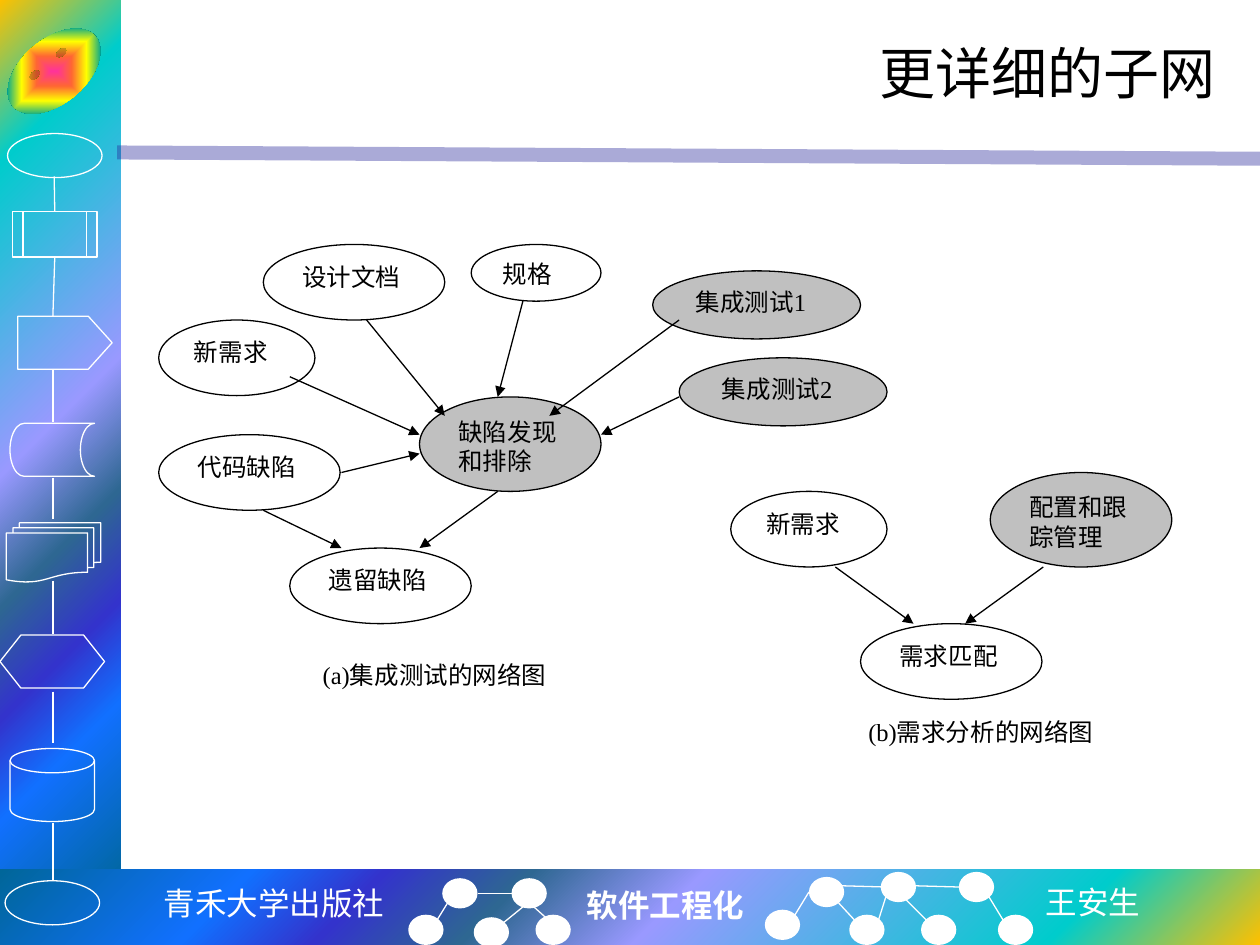
from lxml.etree import SubElement
from pptx import Presentation
from pptx.dml.color import RGBColor
from pptx.enum.shapes import MSO_CONNECTOR as Conn, MSO_SHAPE as Kind
from pptx.enum.text import MSO_ANCHOR as Anchor, MSO_AUTO_SIZE as Auto, PP_ALIGN as Align
from pptx.oxml import parse_xml
from pptx.oxml.ns import nsdecls, qn
from pptx.util import Inches, Pt

HUES = {"ink": "000000", "white": "FFFFFF", "gray": "C0C0C0", "rule": "262699"}
BAND = [(0, "FFC000"), (16, "00CCCC"), (47, "9999FF"), (60, "2E6792"),
        (71, "3333CC"), (81, "1170FF"), (100, "006699")]
GLOW = [(0, "FF3399"), (25, "FF6633"), (50, "FFFF00"), (75, "01A78F"), (100, "3366FF")]
SERIF = "Times New Roman"


def hue(name):
    return RGBColor.from_string(HUES[name])


class Board:
    """Holds the style and the current slide."""

    def __init__(self, slide):
        self.slide = slide
        self.shapes = slide.shapes

    def font(self, para, size, color="ink", face=SERIF, bold=False):
        font = para.font
        font.name, font.size, font.bold = face, Pt(size), bold
        font.color.rgb = hue(color)

    def title(self, text, box):
        head = self.shapes.title
        head.left, head.top, head.width, head.height = map(Inches, box)
        frame = head.text_frame
        frame.text = text
        frame.vertical_anchor = Anchor.MIDDLE
        para = frame.paragraphs[0]
        para.alignment = Align.RIGHT
        self.font(para, 32)

    def shape(self, kind, box, fill=None, line=None):
        item = self.shapes.add_shape(kind, *map(Inches, box))
        item.shadow.inherit = False
        if fill:
            item.fill.solid()
            item.fill.fore_color.rgb = hue(fill)
        else:
            item.fill.background()
        if line:
            item.line.color.rgb = hue(line)
            item.line.width = Pt(0.75)
        else:
            item.line.fill.background()
        return item

    def blend(self, item, stops, form, focus):
        """Fill a shape with a gradient that spreads from the focus."""
        marks = "".join(f'<a:gs pos="{at * 1000}"><a:srgbClr val="{code}"/></a:gs>'
                        for at, code in stops)
        sides = " ".join(f'{side}="{part * 1000}"' for side, part in zip("ltrb", focus))
        grad = parse_xml(
            f'<a:gradFill {nsdecls("a")} rotWithShape="1"><a:gsLst>{marks}</a:gsLst>'
            f'<a:path path="{form}"><a:fillToRect {sides}/></a:path></a:gradFill>')
        props = item.element.spPr
        props.replace(props.find(qn("a:noFill")), grad)

    def label(self, text, box, face=SERIF, bold=False, align=Align.LEFT):
        frame = self.shapes.add_textbox(*map(Inches, box)).text_frame
        frame.word_wrap = False
        frame.auto_size = Auto.SHAPE_TO_FIT_TEXT
        frame.text = text
        para = frame.paragraphs[0]
        para.alignment = align
        self.font(para, 18, "white", face, bold)

    def oval(self, text, box, fill=None, line="ink", indent=0):
        frame = self.shape(Kind.OVAL, box, fill, line).text_frame
        frame.word_wrap = True
        frame.vertical_anchor = Anchor.TOP
        frame.text = text
        para = frame.paragraphs[0]
        para.alignment = Align.LEFT
        if indent:
            props = para._p.get_or_add_pPr()
            props.set("marL", "0")
            props.set("indent", str(Inches(indent)))
        self.font(para, 14)

    def line(self, ends, color="white", width=0.75, arrow=False, alpha=None):
        item = self.shapes.add_connector(Conn.STRAIGHT, *map(Inches, ends))
        item.line.color.rgb = hue(color)
        item.line.width = Pt(width)
        props = item.element.spPr
        stroke = props.find(qn("a:ln"))
        if alpha:
            tint = stroke.find(".//" + qn("a:srgbClr"))
            SubElement(tint, qn("a:alpha")).set("val", str(alpha * 1000))
        if arrow:
            SubElement(stroke, qn("a:tailEnd")).set("type", "triangle")
        SubElement(props, qn("a:effectLst"))
        return item


def frame(board):
    # Bands and rule
    side = board.shape(Kind.RECTANGLE, (0, 0, 0.96, 7.09))
    board.blend(side, BAND, "circle", (0, 0, 100, 100))
    foot = board.shape(Kind.RECTANGLE, (0, 6.9, 10, 0.6))
    board.blend(foot, BAND, "circle", (100, 100, 0, 0))
    board.line((0.93, 1.21, 10, 1.26), "rule", 8, alpha=39)

    # Flowchart symbols down the side
    step = board.shape(Kind.FLOWCHART_PREDEFINED_PROCESS, (0.1, 1.68, 0.67, 0.36), line="white")
    for kind, box in [
        (Kind.FLOWCHART_STORED_DATA, (0.08, 3.36, 0.67, 0.42)),
        (Kind.FLOWCHART_MAGNETIC_DISK, (0.08, 5.94, 0.67, 0.58)),
        (Kind.FLOWCHART_PREPARATION, (0, 5.04, 0.83, 0.42)),
        (Kind.FLOWCHART_MULTIDOCUMENT, (0.05, 4.15, 0.75, 0.47)),
        (Kind.OVAL, (0.06, 1.06, 0.75, 0.35)),
        (Kind.OVAL, (0.04, 6.99, 0.75, 0.35)),
    ]:
        board.shape(kind, box, line="white")
    tag = board.shape(Kind.PENTAGON, (0.14, 2.51, 0.75, 0.42), line="white")
    tag.adjustments[0] = 0.45
    face = board.shape(Kind.SMILEY_FACE, (0, 0.31, 0.86, 0.51))
    face.adjustments[0] = 0.05
    face.rotation = -40
    board.blend(face, GLOW, "shape", (50, 50, 50, 50))
    for top, end in [(2.93, 3.35), (3.79, 4.12), (4.61, 5.03), (5.49, 5.9), (6.53, 6.99)]:
        board.line((0.42, top, 0.42, end))
    board.line((0.43, 1.4, 0.43, 1.68)).end_connect(step, 0)
    board.line((0.43, 2.05, 0.42, 2.51)).begin_connect(step, 2)

    # Footer names
    board.label("青禾大学出版社", (1.19, 6.97, 1.97, 0.4), "Noto Sans Mono", align=Align.CENTER)
    board.label("软件工程化", (4.56, 6.98, 1.46, 0.4), bold=True)
    board.label("王安生", (8.2, 6.96, 0.96, 0.4), "Noto Sans CJK SC")

    # Footer trees
    for left, top in [(3.51, 6.97), (4.06, 6.97), (3.24, 7.26), (3.76, 7.28), (4.25, 7.26),
                      (6.42, 6.96), (6.99, 6.92), (7.61, 6.92), (6.07, 7.22), (6.74, 7.26),
                      (7.31, 7.26), (7.92, 7.26)]:
        board.shape(Kind.OVAL, (left, top, 0.28, 0.24), "white")
    for ends in [(3.47, 7.3, 3.55, 7.17), (4, 7.32, 4.16, 7.19), (4.06, 7.09, 3.79, 7.09),
                 (4.34, 7.29, 4.24, 7.2), (6.78, 7.3, 6.65, 7.16), (7.35, 7.3, 7.15, 7.1),
                 (7.96, 7.3, 7.85, 7.12), (6.97, 7.31, 7.03, 7.12), (7.26, 7.03, 7.61, 7.04),
                 (6.31, 7.26, 6.42, 7.08), (6.68, 7.03, 7.03, 7.04)]:
        board.line(ends)


def nets(board):
    # Ovals of both networks
    for text, box, fill in [
        ("新需求", (5.8, 3.9, 1.24, 0.6), None),
        ("需求匹配", (6.83, 4.95, 1.44, 0.6), None),
        ("配置和跟踪管理", (7.86, 3.75, 1.44, 0.75), "gray"),
        ("新需求", (1.26, 2.54, 1.24, 0.6), None),
        ("缺陷发现和排除", (3.33, 3.15, 1.44, 0.75), "gray"),
        ("设计文档", (2.09, 1.94, 1.44, 0.6), None),
        ("规格", (3.74, 1.94, 1.03, 0.45), None),
        ("集成测试1", (5.18, 2.15, 1.65, 0.54), "gray"),
        ("集成测试2", (5.39, 2.84, 1.65, 0.54), "gray"),
        ("代码缺陷", (1.26, 3.45, 1.44, 0.6), None),
        ("遗留缺陷", (2.3, 4.35, 1.44, 0.6), None),
    ]:
        board.oval(text, box, fill)

    # Arrows
    for ends in [(6.63, 4.5, 7.25, 4.95), (8.28, 4.5, 7.66, 4.95), (2.91, 2.54, 3.53, 3.3),
                 (4.15, 2.39, 3.95, 3.15), (2.3, 2.99, 3.33, 3.45), (2.71, 3.75, 3.33, 3.6),
                 (5.39, 2.54, 4.36, 3.3), (5.39, 3.15, 4.77, 3.45), (2.09, 4.05, 2.71, 4.35),
                 (3.95, 3.9, 3.33, 4.35)]:
        board.line(ends, "ink", arrow=True)

    # Captions
    for text, left, top in [("(a)集成测试的网络图", 1.68, 5.1), ("(b)需求分析的网络图", 6.01, 5.55)]:
        board.oval(text, (left, top, 3.3, 0.6), line=None, indent=0.3)


def main():
    deck = Presentation()
    deck.slide_width, deck.slide_height = Inches(10), Inches(7.5)
    board = Board(deck.slides.add_slide(deck.slide_layouts[5]))
    frame(board)
    board.title("更详细的子网", (1.25, 0.17, 8.5, 0.81))
    nets(board)
    deck.save("out.pptx")


if __name__ == "__main__":
    main()
